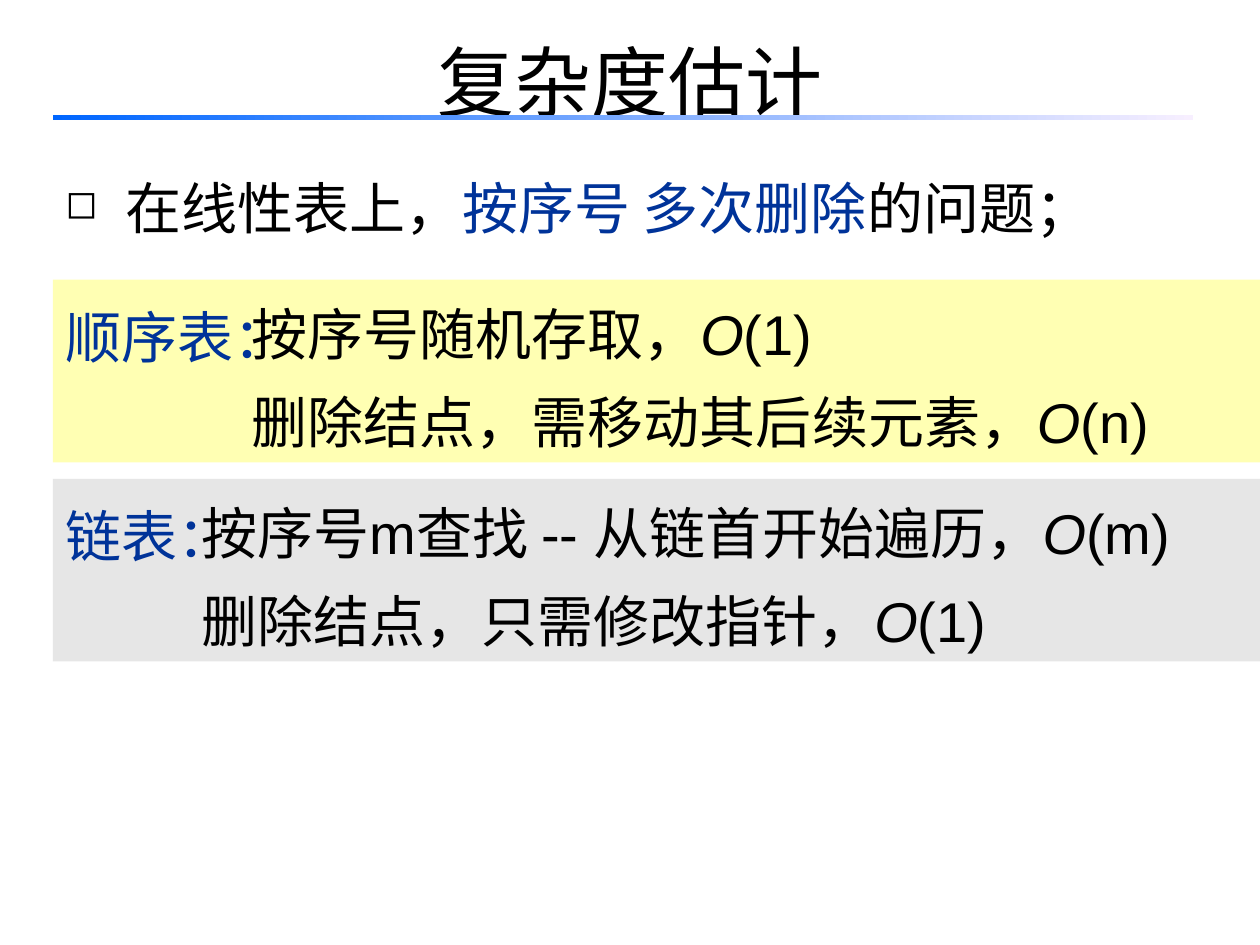
from lxml.etree import SubElement
from pptx import Presentation
from pptx.dml.color import RGBColor
from pptx.enum.shapes import MSO_SHAPE as Shape
from pptx.enum.text import MSO_ANCHOR as Anchor, PP_ALIGN as Align
from pptx.oxml.ns import qn
from pptx.util import Inches, Pt

COLORS = {
    "text": "000000", "accent": "003399", "white": "FFFFFF",
    "yellow": "FFFFB3", "gray": "E6E6E6",
    "rule_start": "0066FF", "rule_end": "F7EFFF",
}
LEFT = 0.42
BAND_W = 10 - LEFT


def rgb(name):
    return RGBColor.from_string(COLORS[name])


def add_text(s, box, runs, size=32, spacing=1.2, fill=None, wrap=True):
    """Add a one-paragraph box; each run is (text, color name, italic)."""
    shape = s.shapes.add_textbox(*map(Inches, box))
    if fill:
        shape.fill.solid()
        shape.fill.fore_color.rgb = rgb(fill)
    tf = shape.text_frame
    tf.word_wrap = wrap
    p = tf.paragraphs[0]
    p.line_spacing = spacing
    for text, color, italic in runs:
        r = p.add_run()
        r.text = text
        r.font.name = "Arial"
        r.font.size = Pt(size)
        r.font.italic = italic
        r.font.color.rgb = rgb(color)
    return tf


def set_indent(p, margin, first=0):
    pPr = p._p.get_or_add_pPr()
    pPr.set("marL", str(Inches(margin)))
    pPr.set("indent", str(Inches(first)))
    return pPr


def add_title(s, text):
    tf = add_text(s, (0.5, -0.08, 9, 1.25), [(text, "text", False)],
                  size=44, spacing=1.25)
    tf.vertical_anchor = Anchor.MIDDLE
    tf.paragraphs[0].alignment = Align.CENTER


def add_rule(s):
    rule = s.shapes.add_shape(Shape.RECTANGLE, Inches(LEFT), Inches(0.91),
                              Inches(9.05), Inches(0.04))
    rule.shadow.inherit = False
    rule.line.fill.background()
    rule.fill.gradient()
    rule.fill.gradient_angle = 0
    for stop, name in zip(rule.fill.gradient_stops, ("rule_start", "rule_end")):
        stop.color.rgb = rgb(name)


def add_bullet(s, runs):
    tf = add_text(s, (LEFT, 1.17, 8.5, 0.75), runs, spacing=1.3, fill="white")
    pPr = set_indent(tf.paragraphs[0], 0.48, -0.48)
    SubElement(pPr, qn("a:buSzPct")).set("val", "70000")
    SubElement(pPr, qn("a:buChar")).set("char", "◻")


def add_band(s, top, fill, label, indent, rows):
    """Add a coloured band: a label and rows of (height, text, cost)."""
    y = top
    for height, text, cost in rows:
        runs = [(text, "text", False), ("O", "text", True), (cost, "text", False)]
        tf = add_text(s, (LEFT, y, BAND_W, height), runs, fill=fill)
        set_indent(tf.paragraphs[0], indent)
        y += height
    add_text(s, (LEFT, top, indent + 0.5, 0.7), [(label, "accent", False)],
             spacing=1.25, wrap=False)


def main():
    prs = Presentation()
    prs.slide_width, prs.slide_height = Inches(10), Inches(7.5)
    s = prs.slides.add_slide(prs.slide_layouts[6])

    add_title(s, "复杂度估计")
    add_rule(s)
    add_bullet(s, [("在线性表上，", "text", False),
                   ("按序号 多次删除", "accent", False),
                   ("的问题；", "text", False)])
    add_band(s, 2.22, "yellow", "顺序表：", 1.48, [
        (0.7, "按序号随机存取，", "(1)"),
        (0.75, "删除结点，需移动其后续元素，", "(n)"),
    ])
    add_band(s, 3.8, "gray", "链表：", 1.08, [
        (0.7, "按序号m查找 -- 从链首开始遍历，", "(m)"),
        (0.75, "删除结点，只需修改指针，", "(1)"),
    ])
    prs.save("out.pptx")


if __name__ == "__main__":
    main()
